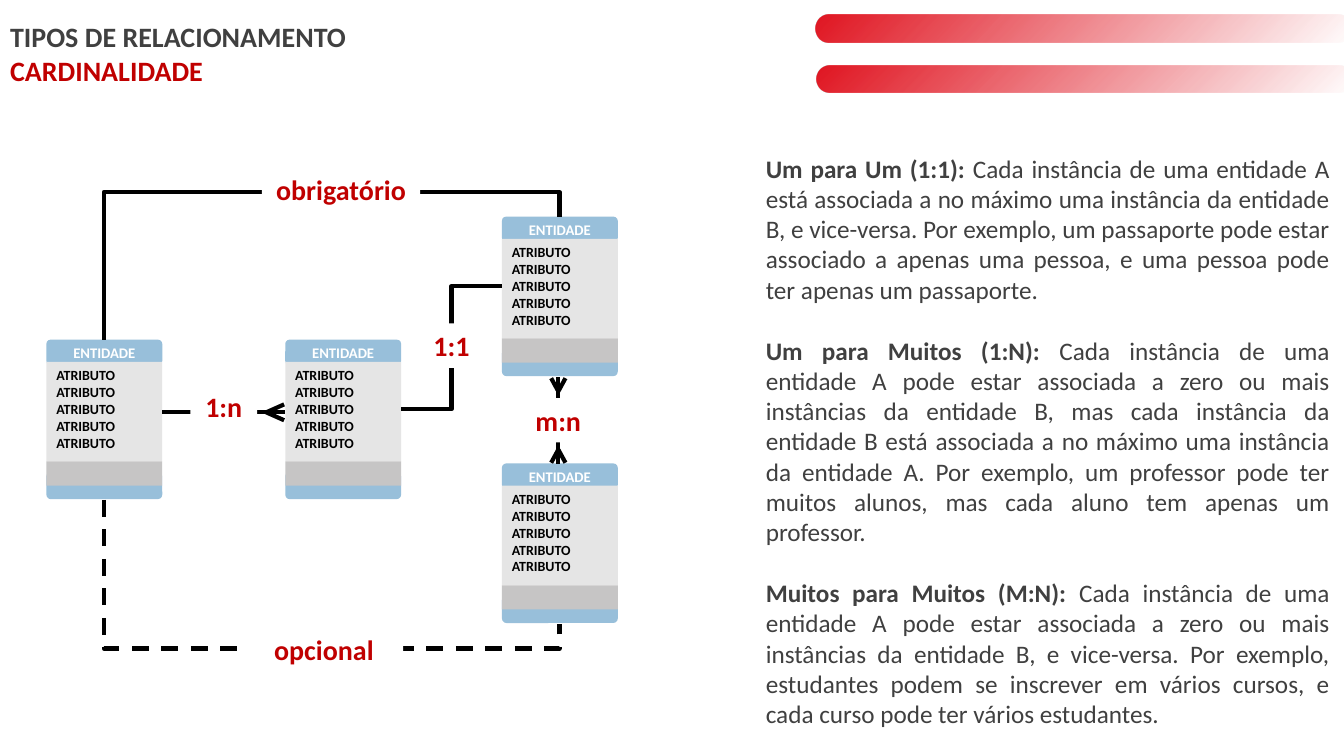
from lxml import etree
from pptx import Presentation
from pptx.dml.color import RGBColor
from pptx.enum.dml import MSO_LINE
from pptx.enum.shapes import MSO_CONNECTOR, MSO_SHAPE
from pptx.enum.text import MSO_ANCHOR, MSO_AUTO_SIZE, PP_ALIGN
from pptx.oxml import parse_xml
from pptx.oxml.ns import qn
from pptx.util import Cm, Pt

RECT, ROUND = MSO_SHAPE.RECTANGLE, MSO_SHAPE.ROUNDED_RECTANGLE
STRAIGHT, ELBOW = MSO_CONNECTOR.STRAIGHT, MSO_CONNECTOR.ELBOW
LEFT, CENTER, JUSTIFY = PP_ALIGN.LEFT, PP_ALIGN.CENTER, PP_ALIGN.JUSTIFY
TOP, MIDDLE = MSO_ANCHOR.TOP, MSO_ANCHOR.MIDDLE
DASH = MSO_LINE.DASH
NO_FIT = MSO_AUTO_SIZE.NONE

RED, DARK, BLACK, WHITE = "C00000", "404040", "000000", "FFFFFF"
BLUE, PALE, GREY, BAR_RED = "98BFDA", "E5E5E5", "C6C5C5", "E11622"
DRAWING = "http://schemas.openxmlformats.org/drawingml/2006/main"


def color(value):
    return RGBColor.from_string(value)


class SlideBuilder:
    font = "Calibri"
    line_width = Pt(3)

    def __init__(self, page):
        self.page = page

    def fill_text(self, box, paragraphs, size, align=LEFT, anchor=TOP, gap=0):
        frame = box.text_frame
        frame.word_wrap = True
        frame.auto_size = NO_FIT
        frame.vertical_anchor = anchor
        for index, spans in enumerate(paragraphs):
            para = frame.add_paragraph() if index else frame.paragraphs[0]
            para.alignment = align
            para.space_before = Pt(gap if index else 0)
            for text, tint, bold in spans:
                span = para.add_run()
                span.text = text
                span.font.name = self.font
                span.font.size = Pt(size)
                span.font.bold = bold
                span.font.color.rgb = color(tint)

    def title(self, left, top, width, height, paragraphs):
        box = self.page.shapes.title
        box.left, box.top, box.width, box.height = map(Cm, (left, top, width, height))
        self.fill_text(box, paragraphs, 20, anchor=MIDDLE)

    def text(self, left, top, width, height, paragraphs, size, **style):
        box = self.page.shapes.add_textbox(*map(Cm, (left, top, width, height)))
        self.fill_text(box, paragraphs, size, **style)

    def shape(self, kind, left, top, width, height, fill):
        box = self.page.shapes.add_shape(kind, *map(Cm, (left, top, width, height)))
        box.shadow.inherit = False
        box.line.fill.background()
        box.fill.solid()
        box.fill.fore_color.rgb = color(fill)
        return box

    def fading_bar(self, left, top, width, height):
        bar = self.shape(ROUND, left, top, width, height, BAR_RED)
        bar.adjustments[0] = 0.5
        stops = "".join(
            f'<a:gs pos="{level}"><a:srgbClr val="{BAR_RED}"><a:alpha val="{level}"/></a:srgbClr></a:gs>'
            for level in range(0, 100001, 25000)
        )
        gradient = parse_xml(
            f'<a:gradFill xmlns:a="{DRAWING}" rotWithShape="1"><a:gsLst>{stops}</a:gsLst>'
            '<a:path path="circle"><a:fillToRect l="100000" t="100000"/></a:path></a:gradFill>'
        )
        properties = bar.element.spPr
        properties.replace(properties.find(qn("a:solidFill")), gradient)

    def line(self, start, end, kind=STRAIGHT, dash=None):
        link = self.page.shapes.add_connector(kind, *map(Cm, start + end))
        link.line.width = self.line_width
        link.line.color.rgb = color(BLACK)
        if dash:
            link.line.dash_style = dash
        etree.SubElement(link.element.spPr, qn("a:effectLst"))
        return link

    def loop(self, start, end, turn, reach, dash=None):
        properties = self.line(start, end, ELBOW, dash).element.spPr
        properties.find(qn("a:xfrm")).set("rot", str(turn * 60000))
        guides = properties.find(qn("a:prstGeom")).find(qn("a:avLst"))
        guide = etree.SubElement(guides, qn("a:gd"))
        guide.set("name", "adj1")
        guide.set("fmla", f"val {round(reach * 100000)}")

    def entity(self, left, top):
        width = 2.92
        header = self.shape(ROUND, left, top, width, 0.64, BLUE)
        self.fill_text(header, [[("ENTIDADE", WHITE, True)]], 10.5, CENTER, MIDDLE)
        self.shape(ROUND, left, top + 3.33, width, 0.69, BLUE)
        self.shape(RECT, left, top + 0.56, width, 2.51, PALE)
        self.shape(RECT, left, top + 3.07, width, 0.61, GREY)
        self.text(left, top + 0.56, width, 2.39, [[("ATRIBUTO", BLACK, True)]] * 5, 10)

    def label(self, left, top, width, caption):
        box = self.shape(RECT, left, top, width, 1.12, WHITE)
        self.fill_text(box, [[(caption, RED, True)]], 20, CENTER, MIDDLE)


DEFINITIONS = [
    ("Um para Um (1:1): ",
     "Cada instância de uma entidade A está associada a no máximo uma instância da entidade B, "
     "e vice-versa. Por exemplo, um passaporte pode estar associado a apenas uma pessoa, "
     "e uma pessoa pode ter apenas um passaporte."),
    ("Um para Muitos (1:N): ",
     "Cada instância de uma entidade A pode estar associada a zero ou mais instâncias da "
     "entidade B, mas cada instância da entidade B está associada a no máximo uma instância da "
     "entidade A. Por exemplo, um professor pode ter muitos alunos, mas cada aluno tem apenas "
     "um professor."),
    ("Muitos para Muitos (M:N): ",
     "Cada instância de uma entidade A pode estar associada a zero ou mais instâncias da "
     "entidade B, e vice-versa. Por exemplo, estudantes podem se inscrever em vários cursos, "
     "e cada curso pode ter vários estudantes."),
]
ENTITIES = [(1.17, 8.56), (12.65, 11.68), (7.19, 8.56), (12.65, 5.46)]
LABELS = [
    (10.54, 8.15, 1.68, "1:1"),
    (13.23, 10.03, 1.68, "m:n"),
    (4.8, 9.68, 1.68, "1:n"),
    (6.17, 15.8, 3.99, "opcional"),
    (6.6, 4.22, 3.99, "obrigatório"),
]


def main():
    deck = Presentation()
    deck.slide_width, deck.slide_height = Cm(33.87), Cm(19.05)
    slide = SlideBuilder(deck.slides.add_slide(deck.slide_layouts[5]))

    slide.title(0, 0.36, 20.55, 1.96, [
        [("TIPOS DE RELACIONAMENTO", DARK, True)],
        [("CARDINALIDADE", RED, True)],
    ])
    slide.text(19.05, 3.73, 14.71, 14.88, [
        [(term, DARK, True), (meaning, DARK, False)] for term, meaning in DEFINITIONS
    ], 18, align=JUSTIFY, gap=22)
    for left, top in [(20.55, 0.38), (20.57, 1.65)]:
        slide.fading_bar(left, top, 13.51, 0.69)

    for left, top in ENTITIES:
        slide.entity(left, top)

    slide.line((14.07, 9.5), (14.07, 11.68))
    slide.line((4.09, 10.39), (7.19, 10.39))
    for side in (-1, 1):
        slide.line((14.07, 9.86), (14.07 + side * 0.18, 9.53))
        slide.line((14.07, 11.33), (14.07 + side * 0.18, 11.66))
        slide.line((6.71, 10.39), (7.16, 10.39 + side * 0.2))
    slide.line((10.11, 10.31), (12.65, 7.21), ELBOW)
    slide.loop((9.92, 8.42), (6.8, 19.9), 270, 1.2, DASH)
    slide.loop((9.91, 12.75), (6.81, 1.27), 90, 1.2)

    for label in LABELS:
        slide.label(*label)

    deck.save("out.pptx")


if __name__ == "__main__":
    main()
